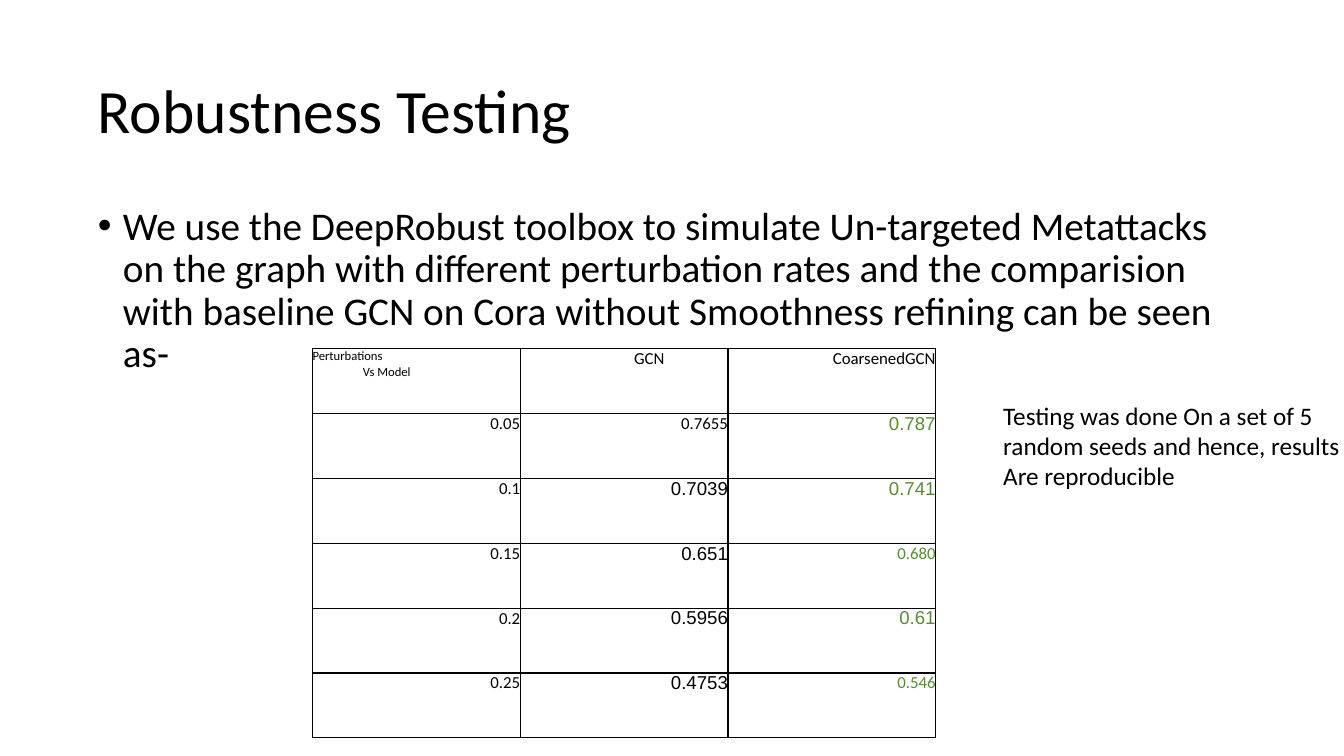
from lxml import etree
from pptx import Presentation
from pptx import util as u
from pptx.dml.color import RGBColor
from pptx.enum import text
from pptx.oxml.ns import qn

BLACK, GREEN = "000000", "5A8A39"
LEFT, CENTER, RIGHT = text.PP_ALIGN.LEFT, text.PP_ALIGN.CENTER, text.PP_ALIGN.RIGHT
MARGINS = ("margin_left", "margin_top", "margin_right", "margin_bottom")
CALIBRI = {"name": "Calibri", "size": u.Pt(12)}
ARIAL = {"name": "Arial", "size": u.Pt(13.3)}

HEADERS = ("GCN", "CoarsenedGCN")
RESULTS = (
    (("0.05", CALIBRI), ("0.7655", CALIBRI), ("0.787", ARIAL)),
    (("0.1", CALIBRI), ("0.7039", ARIAL), ("0.741", ARIAL)),
    (("0.15", CALIBRI), ("0.651", ARIAL), ("0.680", CALIBRI)),
    (("0.2", CALIBRI), ("0.5956", ARIAL), ("0.61", ARIAL)),
    (("0.25", CALIBRI), ("0.4753", ARIAL), ("0.546", CALIBRI)),
)


def color(value):
    return RGBColor.from_string(value)


def set_all(target, values):
    for name, value in values.items():
        setattr(target, name, value)


def write(para, words, font, shade=BLACK, **layout):
    """Put one formatted span in a paragraph."""
    set_all(para, layout)
    span = para.add_run()
    span.text = words
    set_all(span.font, font)
    span.font.color.rgb = color(shade)


def indent(para, first, left=0):
    properties = para._p.get_or_add_pPr()
    properties.set("marL", str(u.Inches(left)))
    properties.set("indent", str(u.Inches(first)))
    return properties


def add_box(page, box, **layout):
    frame = page.shapes.add_textbox(*map(u.Inches, box)).text_frame
    set_all(frame, {name: u.Inches(0.05) for name in MARGINS})
    set_all(frame, {"word_wrap": True, **layout})
    return frame


def add_title(page, box):
    frame = add_box(page, box, vertical_anchor=text.MSO_ANCHOR.MIDDLE)
    write(frame.paragraphs[0], "Robustness Testing",
          {"name": "Calibri", "size": u.Pt(44)}, line_spacing=0.9)


def add_body(page, box):
    para = add_box(page, box).paragraphs[0]
    write(para, "We use the DeepRobust toolbox to simulate Un-targeted Metattacks "
          "on the graph with different perturbation rates and the comparision "
          "with baseline GCN on Cora without Smoothness refining can be seen as-",
          {"name": "Calibri", "size": u.Pt(28)}, line_spacing=0.9, space_before=u.Pt(10))
    properties = indent(para, -0.25, 0.25)
    etree.SubElement(properties, qn("a:buFont"), typeface="Arial")
    etree.SubElement(properties, qn("a:buChar"), char="•")


def style_cell(cell):
    """Clear the margins and fill, and draw a thin black border."""
    set_all(cell, dict.fromkeys(MARGINS, 0))
    properties = cell._tc.get_or_add_tcPr()
    for side in ("a:lnL", "a:lnR", "a:lnT", "a:lnB"):
        line = etree.SubElement(properties, qn(side), w=str(u.Pt(1)))
        fill = etree.SubElement(line, qn("a:solidFill"))
        etree.SubElement(fill, qn("a:srgbClr"), val=BLACK)
    cell.fill.background()


def add_results(page, box):
    table = page.shapes.add_table(len(RESULTS) + 1, 3, *map(u.Inches, box)).table
    set_all(table, {"first_row": False, "horz_banding": False})
    for cell in table.iter_cells():
        style_cell(cell)

    corner = table.cell(0, 0).text_frame
    small = {"name": "Calibri", "size": u.Pt(9)}
    write(corner.paragraphs[0], "Perturbations", small, alignment=LEFT)
    model = corner.add_paragraph()
    write(model, "Vs Model", small, alignment=LEFT)
    indent(model, 0.5)

    for column, (words, side) in enumerate(zip(HEADERS, (CENTER, RIGHT)), 1):
        para = table.cell(0, column).text_frame.paragraphs[0]
        write(para, words, CALIBRI, alignment=side)
        indent(para, 0.5)

    for row, values in enumerate(RESULTS, 1):
        for column, (words, font) in enumerate(values):
            para = table.cell(row, column).text_frame.paragraphs[0]
            write(para, words, font, GREEN if column == 2 else BLACK, alignment=RIGHT)
            if font is CALIBRI:
                indent(para, 0.5)


def add_note(page, box):
    frame = add_box(page, box, word_wrap=False,
                    auto_size=text.MSO_AUTO_SIZE.SHAPE_TO_FIT_TEXT)
    lines = ("Testing was done On a set of 5", "random seeds and hence, results",
             "Are reproducible")
    for number, words in enumerate(lines):
        para = frame.add_paragraph() if number else frame.paragraphs[0]
        write(para, words, {"name": "Calibri", "size": u.Pt(18)})


def main():
    deck = Presentation()
    set_all(deck, {"slide_width": u.Inches(13.33), "slide_height": u.Inches(7.5)})
    page = deck.slides.add_slide(deck.slide_layouts[6])
    add_title(page, (0.92, 0.4, 11.5, 1.45))
    add_body(page, (0.92, 2, 11.5, 4.76))
    add_results(page, (3.1, 3.46, 6.18, 3.86))
    add_note(page, (9.9, 3.92, 3.45, 1))
    deck.save("out.pptx")


if __name__ == "__main__":
    main()
